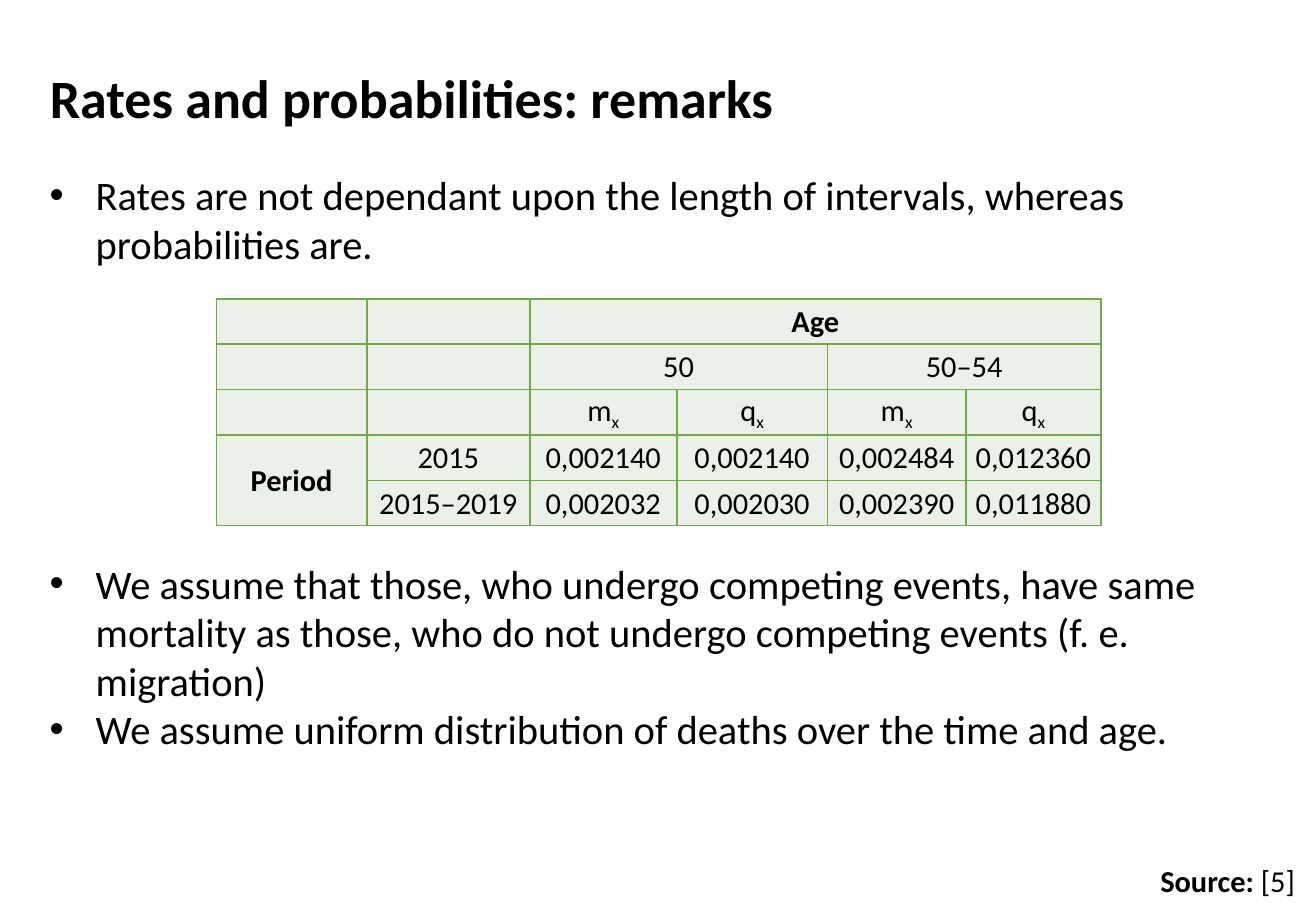
import pptx
import pptx.util
import pptx.dml.color
import pptx.enum.text
from dataclasses import dataclass
from lxml import etree

TITLE = "Rates and probabilities: remarks"
REMARKS = [
    "Rates are not dependant upon the length of intervals, whereas probabilities are.",
    "We assume that those, who undergo competing events, have same mortality as those, "
    "who do not undergo competing events (f. e. migration)",
    "We assume uniform distribution of deaths over the time and age.",
]
SOURCE = [("Source: ", True), ("[5]", False)]
RATES = [
    ["", "", "Age", "", "", ""],
    ["", "", "50", "", "50–54", ""],
    ["", "", "m_x", "q_x", "m_x", "q_x"],
    ["Period", "2015", "0,002140", "0,002140", "0,002484", "0,012360"],
    ["", "2015–2019", "0,002032", "0,002030", "0,002390", "0,011880"],
]
HEADINGS = {"Age", "Period"}
MERGES = [((0, 2), (0, 5)), ((1, 2), (1, 3)), ((1, 4), (1, 5)), ((3, 0), (4, 0))]
COLUMN_WEIGHTS = [124, 134, 121, 124, 114, 111]

WIDTH, HEIGHT = pptx.util.Inches(10.83), pptx.util.Inches(7.5)
PERCENT_AREAS = {
    "title": (2.86, 6.4, 57.34, 8.53),
    "remarks": (2.86, 18, 93.26, 71.33),
    "rates": (16.44, 32.8, 67.22, 24.93),
    "source": (87.26, 94, 12.74, 5.33),
}
TABLE_GAP_LINES = 6


@dataclass(frozen=True)
class Theme:
    font: str = "Calibri"
    ink: str = "000000"
    cell: str = "EBF1E9"
    border: str = "70AD47"
    title_size: float = 32
    body_size: float = 24
    small_size: float = 18
    border_width: float = 1
    line_height: float = 28.8


THEME = Theme()


def color(code):
    return pptx.dml.color.RGBColor.from_string(code)


def area(name):
    left, top, width, height = PERCENT_AREAS[name]
    return [round(share * side / 100) for share, side in
            ((left, WIDTH), (top, HEIGHT), (width, WIDTH), (height, HEIGHT))]


def style(span, size, bold=False):
    span.font.name = THEME.font
    span.font.size = pptx.util.Pt(size)
    span.font.bold = bold
    span.font.color.rgb = color(THEME.ink)


def add_element(parent, tag, **attributes):
    return etree.SubElement(parent, pptx.oxml.ns.qn(tag), attributes)


def add_title(page):
    box = page.shapes.title
    box.left, box.top, box.width, box.height = area("title")
    frame = box.text_frame
    frame.text = TITLE
    frame.word_wrap = False
    frame.auto_size = pptx.enum.text.MSO_AUTO_SIZE.NONE
    frame.vertical_anchor = pptx.enum.text.MSO_ANCHOR.TOP
    para = frame.paragraphs[0]
    para.alignment = pptx.enum.text.PP_ALIGN.LEFT
    style(para.runs[0], THEME.title_size, True)


def add_remarks(page):
    frame = page.shapes.add_textbox(*area("remarks")).text_frame
    frame.word_wrap = True
    frame.text = "\n".join(REMARKS)
    indent = pptx.util.Inches(0.38)
    for para in frame.paragraphs:
        properties = para._p.get_or_add_pPr()
        properties.set("marL", str(indent))
        properties.set("indent", str(-indent))
        add_element(properties, "a:buFont", typeface="Arial")
        add_element(properties, "a:buChar", char="•")
        style(para.runs[0], THEME.body_size)
    frame.paragraphs[1].space_before = pptx.util.Pt(TABLE_GAP_LINES * THEME.line_height)


def add_borders(cell):
    properties = cell._tc.get_or_add_tcPr()
    for position, side in enumerate(("a:lnL", "a:lnR", "a:lnT", "a:lnB")):
        line = add_element(properties, side, w=str(pptx.util.Pt(THEME.border_width)))
        fill = add_element(line, "a:solidFill")
        add_element(fill, "a:srgbClr", val=THEME.border)
        properties.insert(position, line)


def fill_cell(cell, text):
    cell.fill.solid()
    cell.fill.fore_color.rgb = color(THEME.cell)
    add_borders(cell)
    cell.margin_left = cell.margin_right = cell.margin_top = pptx.util.Inches(0.01)
    cell.margin_bottom = 0
    cell.vertical_anchor = pptx.enum.text.MSO_ANCHOR.MIDDLE
    para = cell.text_frame.paragraphs[0]
    para.alignment = pptx.enum.text.PP_ALIGN.CENTER
    if not text:
        return
    base, _, subscript = text.partition("_")
    para.text = base
    if subscript:
        span = para.add_run()
        span.text = subscript
        span._r.get_or_add_rPr().set("baseline", "-25000")
    for span in para.runs:
        style(span, THEME.small_size, text in HEADINGS)


def add_rates(page):
    left, top, width, height = area("rates")
    table = page.shapes.add_table(
        len(RATES), len(COLUMN_WEIGHTS), left, top, width, height).table
    table.first_row = table.horz_banding = False
    for column, weight in zip(table.columns, COLUMN_WEIGHTS):
        column.width = round(width * weight / sum(COLUMN_WEIGHTS))
    for row in table.rows:
        row.height = round(height / len(RATES))
    for row_index, row in enumerate(RATES):
        for column_index, text in enumerate(row):
            fill_cell(table.cell(row_index, column_index), text)
    for first, last in MERGES:
        table.cell(*first).merge(table.cell(*last))


def add_source(page):
    frame = page.shapes.add_textbox(*area("source")).text_frame
    frame.word_wrap = True
    for text, bold in SOURCE:
        span = frame.paragraphs[0].add_run()
        span.text = text
        style(span, THEME.small_size, bold)


def main():
    deck = pptx.Presentation()
    deck.slide_width, deck.slide_height = WIDTH, HEIGHT
    page = deck.slides.add_slide(deck.slide_layouts[5])
    add_title(page)
    add_remarks(page)
    add_rates(page)
    add_source(page)
    deck.save("out.pptx")


if __name__ == "__main__":
    main()
